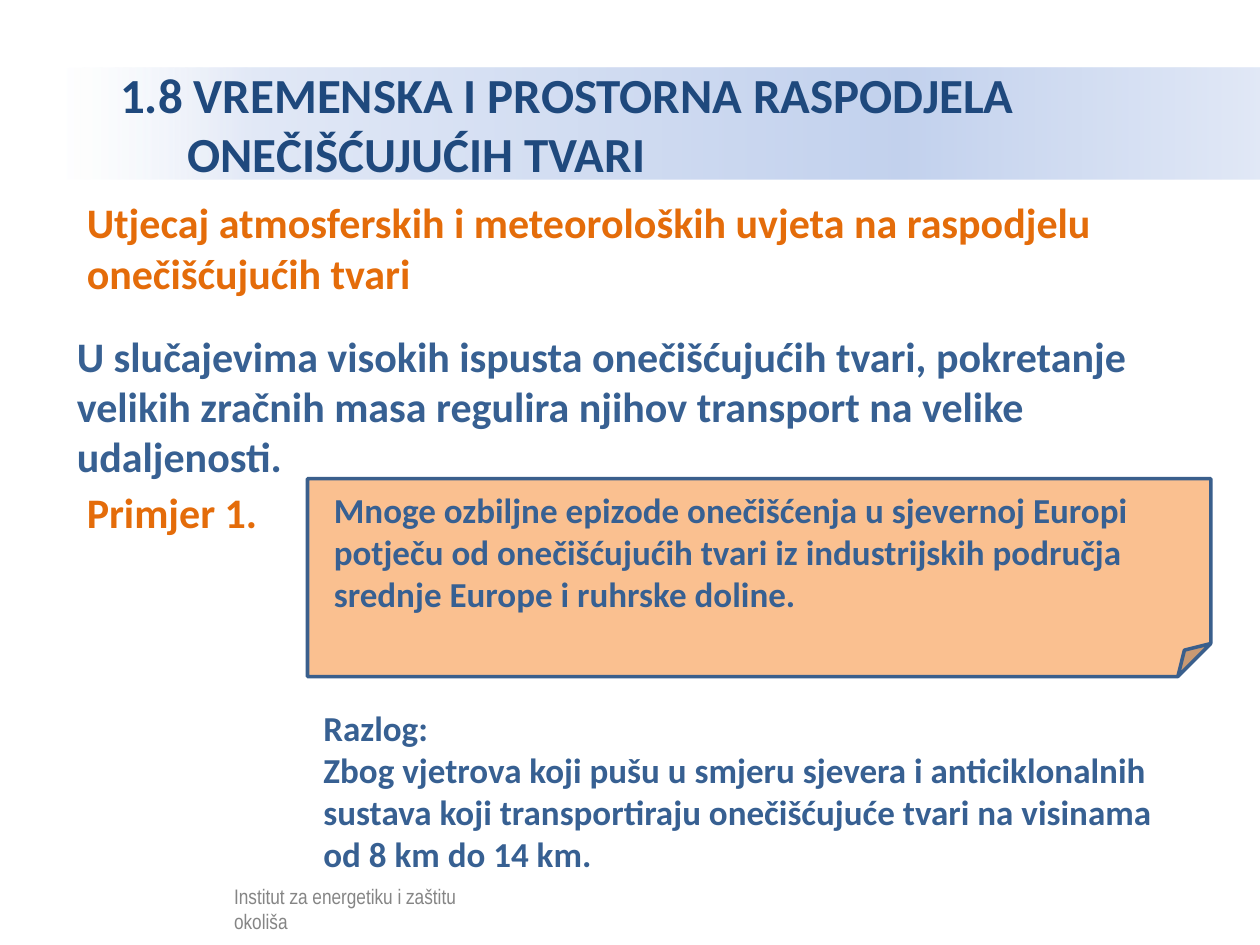
import pptx
import pptx.util
import pptx.dml.color
import pptx.enum.shapes
import pptx.enum.text
import pptx.oxml
import pptx.oxml.ns

Cm, Pt = pptx.util.Cm, pptx.util.Pt
RGB = pptx.dml.color.RGBColor
SHAPE = pptx.enum.shapes.MSO_SHAPE
TEXT = pptx.enum.text

WHITE = RGB(0xFF, 0xFF, 0xFF)
BLACK = RGB(0, 0, 0)
NAVY = RGB(0x1F, 0x49, 0x7D)
BLUE = RGB(0x37, 0x60, 0x92)
EDGE = RGB(0x3A, 0x5F, 0x8C)
ORANGE = RGB(0xE4, 0x6C, 0x0A)
PEACH = RGB(0xFA, 0xC0, 0x90)
PALE = RGB(0xE1, 0xE8, 0xF6)
SKY = RGB(0xC2, 0xD1, 0xED)
BAND = [(0, WHITE, 52), (16, PALE, 100), (70, SKY, 100), (100, PALE, 100)]


class Deck:
    font = {"name": "Calibri", "bold": True}

    def __init__(self, wide, high):
        self.prs = pptx.Presentation()
        self.prs.slide_width, self.prs.slide_height = Cm(wide), Cm(high)
        self.slide = self.prs.slides.add_slide(self.prs.slide_layouts[5])

    def fill_text(self, frame, lines, size, color, **extra):
        frame.word_wrap = True
        frame.auto_size = TEXT.MSO_AUTO_SIZE.NONE
        look = {**self.font, "size": Pt(size), **extra}
        for i, line in enumerate(lines):
            para = frame.paragraphs[0] if i == 0 else frame.add_paragraph()
            para.alignment = TEXT.PP_ALIGN.LEFT
            run = para.add_run()
            run.text = line
            for key, value in look.items():
                setattr(run.font, key, value)
            run.font.color.rgb = color

    def title(self, box, line, size, color, stops):
        shape = self.slide.shapes.title
        shape.left, shape.top, shape.width, shape.height = map(Cm, box)
        frame = shape.text_frame
        frame.vertical_anchor = TEXT.MSO_ANCHOR.MIDDLE
        self.fill_text(frame, [line], size, color)
        props = frame.paragraphs[0]._p.get_or_add_pPr()
        props.set("marL", str(Cm(2.26)))
        props.set("indent", str(Cm(-1.36)))
        self.fade(shape, stops)

    def fade(self, shape, stops):
        """Fill a shape left to right with (percent, colour, opacity) stops."""
        shape.fill.gradient()
        shape.fill.gradient_angle = 0
        held = shape._element.spPr.find(".//" + pptx.oxml.ns.qn("a:gsLst"))
        for old in list(held):
            held.remove(old)
        for place, color, alpha in stops:
            held.append(pptx.oxml.parse_xml(
                f'<a:gs {pptx.oxml.ns.nsdecls("a")} pos="{place * 1000}">'
                f'<a:srgbClr val="{color}"><a:alpha val="{alpha * 1000}"/>'
                '</a:srgbClr></a:gs>'))

    def text(self, box, lines, size, color, **extra):
        shape = self.slide.shapes.add_textbox(*map(Cm, box))
        self.fill_text(shape.text_frame, lines, size, color, **extra)

    def shape(self, kind, box, fill, line=None, alpha=100):
        shape = self.slide.shapes.add_shape(kind, *map(Cm, box))
        shape.shadow.inherit = False
        shape.fill.solid()
        shape.fill.fore_color.rgb = fill
        if alpha < 100:
            tint = shape._element.spPr.find(".//" + pptx.oxml.ns.qn("a:srgbClr"))
            tint.append(pptx.oxml.parse_xml(
                f'<a:alpha {pptx.oxml.ns.nsdecls("a")} val="{alpha * 1000}"/>'))
        if line:
            shape.line.color.rgb = line
            shape.line.width = Pt(2)
        else:
            shape.line.fill.background()


def main():
    deck = Deck(25.4, 19.05)
    deck.title((1.27, 1.37, 24.13, 2.24),
               "1.8 VREMENSKA I PROSTORNA RASPODJELA ONEČIŠĆUJUĆIH TVARI",
               28, NAVY, BAND)
    deck.text((4.47, 17.68, 5.31, 1.2),
              ["Institut za energetiku i zaštitu okoliša"],
              12, BLACK, name="Arial Narrow", bold=False)
    deck.shape(SHAPE.RECTANGLE, (1.04, 17.6, 9.7, 1.22), WHITE, alpha=52)
    deck.text((1.5, 3.84, 23.09, 2.31),
              ["Utjecaj atmosferskih i meteoroloških uvjeta na raspodjelu "
               "onečišćujućih tvari"], 24, ORANGE)
    deck.text((1.3, 6.53, 22.2, 3.33),
              ["U slučajevima visokih ispusta onečišćujućih tvari, pokretanje "
               "velikih zračnih masa regulira njihov transport na velike "
               "udaljenosti."], 24, BLUE)
    deck.text((1.5, 9.68, 5.41, 1.27), ["Primjer 1."], 24, ORANGE)
    deck.shape(SHAPE.FOLDED_CORNER, (6.2, 9.65, 18.21, 3.99), PEACH, EDGE)
    deck.text((6.48, 9.73, 17.4, 3.68),
              ["Mnoge ozbiljne epizode onečišćenja u sjevernoj Europi potječu "
               "od onečišćujućih tvari iz industrijskih područja srednje "
               "Europe i ruhrske doline."], 20, BLUE)
    deck.text((6.27, 14.12, 18.01, 3.68),
              ["Razlog:",
               "Zbog vjetrova koji pušu u smjeru sjevera i anticiklonalnih "
               "sustava koji transportiraju onečišćujuće tvari na visinama "
               "od 8 km do 14 km."], 20, BLUE)
    deck.prs.save("out.pptx")


if __name__ == "__main__":
    main()
